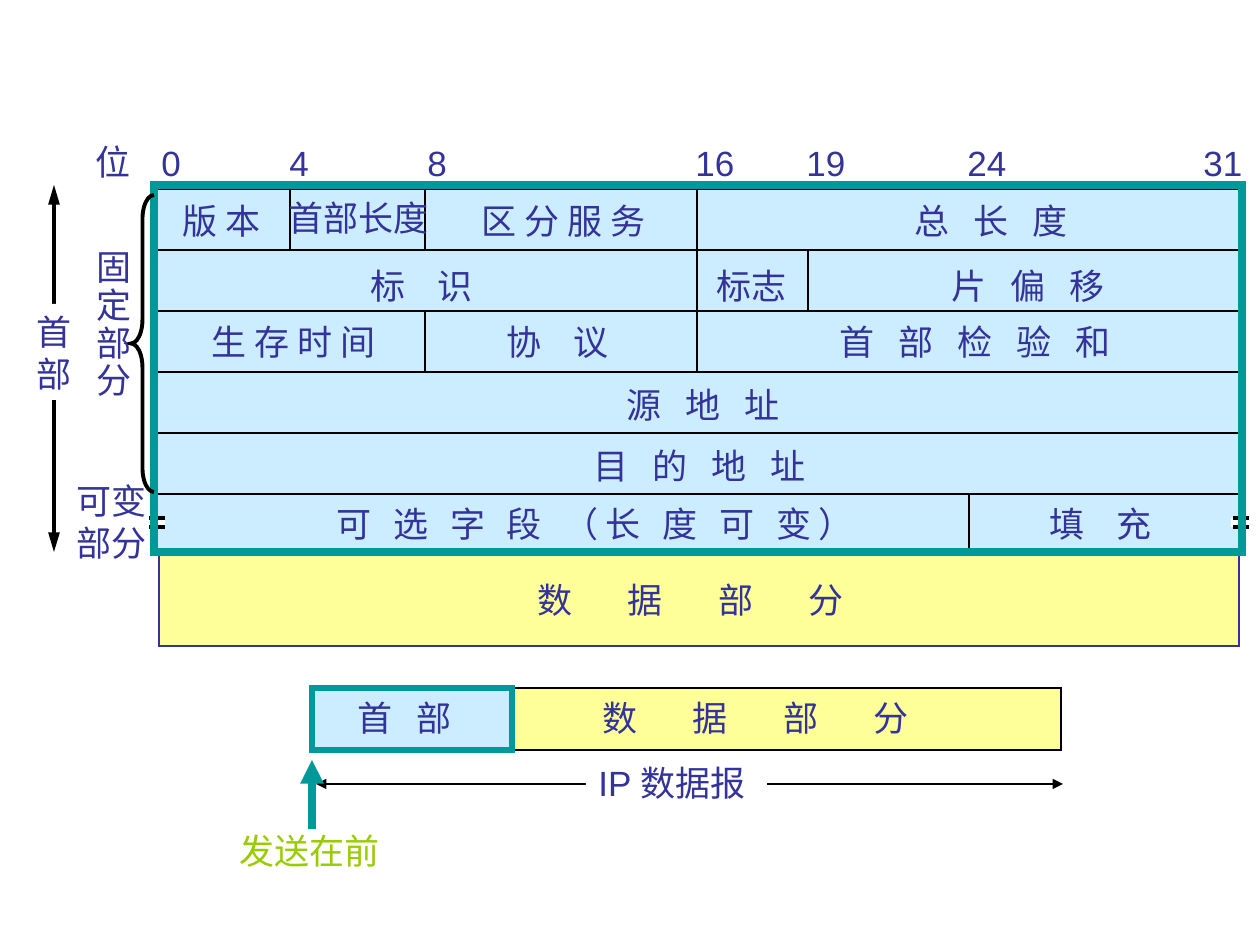
from lxml import etree
from pptx import Presentation
from pptx.dml.color import RGBColor
from pptx.enum.shapes import MSO_CONNECTOR, MSO_SHAPE
from pptx.enum.text import MSO_AUTO_SIZE
from pptx.oxml.ns import qn
from pptx.util import Pt

PX = 914400 / 126
RECT, BRACE = MSO_SHAPE.RECTANGLE, MSO_SHAPE.LEFT_BRACE
STRAIGHT = MSO_CONNECTOR.STRAIGHT
GROW = MSO_AUTO_SIZE.SHAPE_TO_FIT_TEXT
COLORS = {name: RGBColor.from_string(code) for name, code in {
    "ink": "333399", "black": "000000", "white": "FFFFFF", "header": "CCECFF",
    "data": "FFFF99", "frame": "009999", "note": "99CC00"}.items()}

prs = Presentation()
prs.slide_width, prs.slide_height = round(1260 * PX), round(945 * PX)
slide = prs.slides.add_slide(prs.slide_layouts[6])
shapes = slide.shapes


def add_line(x1, y1, x2, y2, width=1, color="black", ends=(), head_length="med"):
    line = shapes.add_connector(STRAIGHT, *(round(v * PX) for v in (x1, y1, x2, y2)))
    line.line.width = Pt(width)
    line.line.color.rgb = COLORS[color]
    for end in ends:
        arrow = etree.SubElement(line.line._get_or_add_ln(), qn(f"a:{end}"))
        arrow.set("type", "triangle")
        arrow.set("len", head_length)
    etree.SubElement(line._element.spPr, qn("a:effectLst"))


def add_label(text, x, y, w, h=54, tracking=0, color="ink", font="Arial",
              fill=None, line_spacing=None):
    box = shapes.add_textbox(*(round(v * PX) for v in (x, y, w, h)))
    if fill:
        box.fill.solid()
        box.fill.fore_color.rgb = COLORS[fill]
    frame = box.text_frame
    frame.text = text
    frame.word_wrap = True
    frame.auto_size = GROW
    frame.margin_right = 0  # leaves room so that a label stays on its line
    for paragraph in frame.paragraphs:
        if line_spacing:
            paragraph.line_spacing = line_spacing
        for run in paragraph.runs:
            run.font.size = Pt(20)
            run.font.name = font
            run.font.color.rgb = COLORS[color]
            if tracking:
                run._r.get_or_add_rPr().set("spc", str(round(tracking * 100)))


# Filled areas, frames and the brace: kind, place, fill, line, line width
areas = [
    (RECT, 312, 688, 198, 62, "header", "black", 1),
    (RECT, 156, 188, 1084, 364, "header", "black", 2),
    (RECT, 159, 553, 1080, 93, "data", "ink", 1),
    (RECT, 512, 688, 549, 62, "data", "black", 1),
    (RECT, 147, 517, 18, 10, "white", None, 0),
    (RECT, 1231, 518, 18, 9, "white", None, 0),
]
frames = [
    (RECT, 154, 185, 1088, 367, None, "frame", 4.5),
    (RECT, 312, 688, 200, 62, None, "frame", 3),
    (BRACE, 131, 195, 23, 297, None, "black", 2.25),
]
for kind, x, y, w, h, fill, outline, width in areas + frames:
    # Field borders and break marks lie between the areas and the frames
    if (kind, x, y, w, h, fill, outline, width) == frames[0]:
        for row in range(5):
            add_line(156, 250 + 61 * row, 1241, 250 + 61 * row)
        for border_x, top, bottom in [(290, 189, 250), (425, 189, 250), (425, 312, 372),
                                      (697, 189, 372), (969, 494, 554), (808, 251, 311)]:
            add_line(border_x, top, border_x, bottom)
        for mark_x in (149, 1233):
            for mark_y in (518, 527):
                add_line(mark_x, mark_y, mark_x + 16, mark_y, 2)
    shape = shapes.add_shape(kind, *(round(v * PX) for v in (x, y, w, h)))
    shape.shadow.inherit = False
    if fill:
        shape.fill.solid()
        shape.fill.fore_color.rgb = COLORS[fill]
    else:
        shape.fill.background()
    if outline:
        shape.line.color.rgb = COLORS[outline]
        shape.line.width = Pt(width)
        etree.SubElement(shape.line._get_or_add_ln(), qn("a:miter")).set("lim", "800000")
    else:
        shape.line.fill.background()
    if kind == BRACE:
        shape.adjustments[0] = 1.04

# Bit positions
add_label("位", 83, 134, 60)
for bit, x in [(0, 149), (4, 277), (8, 415), (16, 683), (19, 794), (24, 955), (31, 1191)]:
    add_label(str(bit), x, 135, 44 if bit < 10 else 64)

# Header fields: text, left, top, width, letter spacing in points
for text, x, y, w, tracking in [
    ("版 本", 170, 193, 103, 0),
    ("首部长度", 276, 190, 165, 0),
    ("区 分 服 务", 469, 193, 189, 0),
    ("总 长 度", 902, 193, 178, 4.6),
    ("标 识", 358, 258, 132, 6.9),
    ("标志", 704, 258, 96, 0),
    ("片 偏 移", 939, 258, 178, 4.6),
    ("生 存 时 间", 199, 314, 189, 0),
    ("协 议", 494, 314, 132, 6.9),
    ("首 部 检 验 和", 827, 314, 295, 4.6),
    ("源 地 址", 614, 377, 178, 4.6),
    ("目 的 地 址", 581, 438, 236, 4.6),
    ("可 选 字 段 （长 度 可 变）", 324, 496, 560, 4),
    ("填 充", 1037, 496, 132, 6.9),
    ("首 部", 345, 690, 118, 4.6),
]:
    add_label(text, x, y, w, tracking=tracking)

# Data part, in the table and in the datagram
for x, y, w in [(525, 572, 401), (590, 690, 427)]:
    add_label("数 据 部 分", x, y, w, tracking=13.6)

# Parts of the header
add_label("固\n定\n部\n分", 84, 244, 60, 164, line_spacing=0.9)
add_label("可变\n部分", 64, 473, 96, 96)
add_line(54, 185, 54, 552, 2.25, ends=("headEnd", "tailEnd"), head_length="lg")
add_label("首\n部", 24, 304, 60, 96, fill="white")

# Datagram extent and sending order
add_line(316, 784, 1063, 784, ends=("headEnd", "tailEnd"))
add_label("IP 数据报", 586, 755, 181, fill="white")
add_line(312, 829, 312, 760, 4.5, "frame", ("tailEnd",))
add_label("发送在前", 227, 823, 165, color="note", font="Times New Roman")

prs.save("out.pptx")
